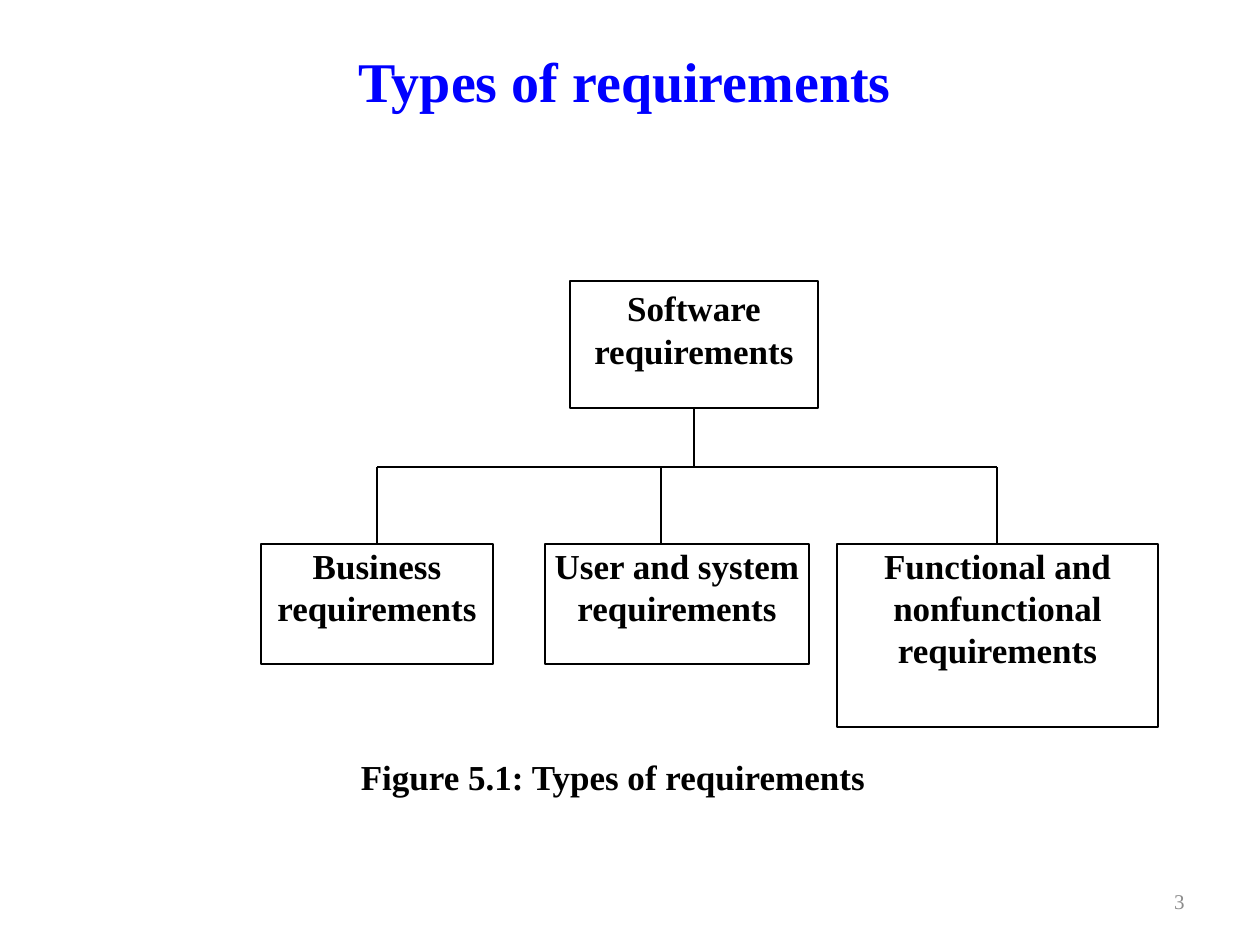
from lxml.etree import SubElement
from pptx import Presentation
from pptx.dml.color import RGBColor
from pptx.enum.shapes import MSO_CONNECTOR, MSO_SHAPE
from pptx.enum.text import MSO_ANCHOR, PP_ALIGN
from pptx.oxml.ns import qn
from pptx.util import Pt

SCALE = 914400 / 126  # EMU per px
BLACK = RGBColor(0x00, 0x00, 0x00)
WHITE = RGBColor(0xFF, 0xFF, 0xFF)
BLUE = RGBColor(0x00, 0x00, 0xFF)
GRAY = RGBColor(0x8C, 0x8C, 0x8C)


def px(*lengths):
    return [round(n * SCALE) for n in lengths]


def set_text(s, text, size=20, color=BLACK, bold=True,
             align=PP_ALIGN.CENTER, anchor=MSO_ANCHOR.TOP):
    tf = s.text_frame
    tf.word_wrap = True
    tf.vertical_anchor = anchor
    for i, line in enumerate(text.split("\n")):
        p = tf.paragraphs[0] if i == 0 else tf.add_paragraph()
        p.alignment = align
        r = p.add_run()
        r.text = line
        font = {"name": "Times New Roman", "size": Pt(size), "bold": bold}
        for key, value in font.items():
            setattr(r.font, key, value)
        r.font.color.rgb = color


def add_label(sp, box, text, **style):
    set_text(sp.add_textbox(*px(*box)), text, **style)


def add_box(sp, box, text, line=BLACK, inset=0):
    s = sp.add_shape(MSO_SHAPE.RECTANGLE, *px(*box))
    s.shadow.inherit = False
    s.fill.solid()
    s.fill.fore_color.rgb = WHITE
    s.line.color.rgb = line
    s.line.width = Pt(0.75)
    side, top = px(2 * inset, inset)
    margins = {"margin_left": side, "margin_right": side,
               "margin_top": top, "margin_bottom": top}
    for key, value in margins.items():
        setattr(s.text_frame, key, value)
    set_text(s, text)


def add_line(sp, x1, y1, x2, y2):
    s = sp.add_connector(MSO_CONNECTOR.STRAIGHT, *px(x1, y1, x2, y2))
    s.line.color.rgb = BLACK
    s.line.width = Pt(0.75)
    SubElement(s._element.spPr, qn("a:effectLst"))


def main():
    prs = Presentation()
    prs.slide_width, prs.slide_height = px(1260, 945)
    sp = prs.slides.add_slide(prs.slide_layouts[6]).shapes

    # Title
    add_label(sp, (247, 42, 756, 78), "Types of requirements",
              size=32, color=BLUE, anchor=MSO_ANCHOR.BOTTOM)

    # Root of the tree and its stem
    bus_y, child_y = 467, 544
    add_box(sp, (570, 281, 248, 127), "Software requirements", inset=6)
    add_line(sp, 694, 408, 694, bus_y)

    # Children: left, width, height, text
    children = [
        (261, 232, 120, "Business\nrequirements"),
        (545, 264, 120, "User and system requirements"),
        (837, 321, 183, "Functional and nonfunctional requirements"),
    ]
    centers = [left + width // 2 for left, width, _, _ in children]
    add_line(sp, centers[0], bus_y, centers[-1], bus_y)
    for x, (left, width, height, text) in zip(centers, children):
        add_box(sp, (left, child_y, width, height), text)
        # The middle drop leaves the bus at the second box's edge of the stem
        drop_x = 661 if x == centers[1] else x
        add_line(sp, drop_x, bus_y, drop_x, child_y)

    # Caption and slide number
    add_box(sp, (336, 755, 554, 69), "Figure 5.1: Types of requirements",
            line=WHITE)
    add_label(sp, (903, 876, 294, 50), "3", size=12, color=GRAY, bold=False,
              align=PP_ALIGN.RIGHT, anchor=MSO_ANCHOR.MIDDLE)

    prs.save("out.pptx")


if __name__ == "__main__":
    main()
